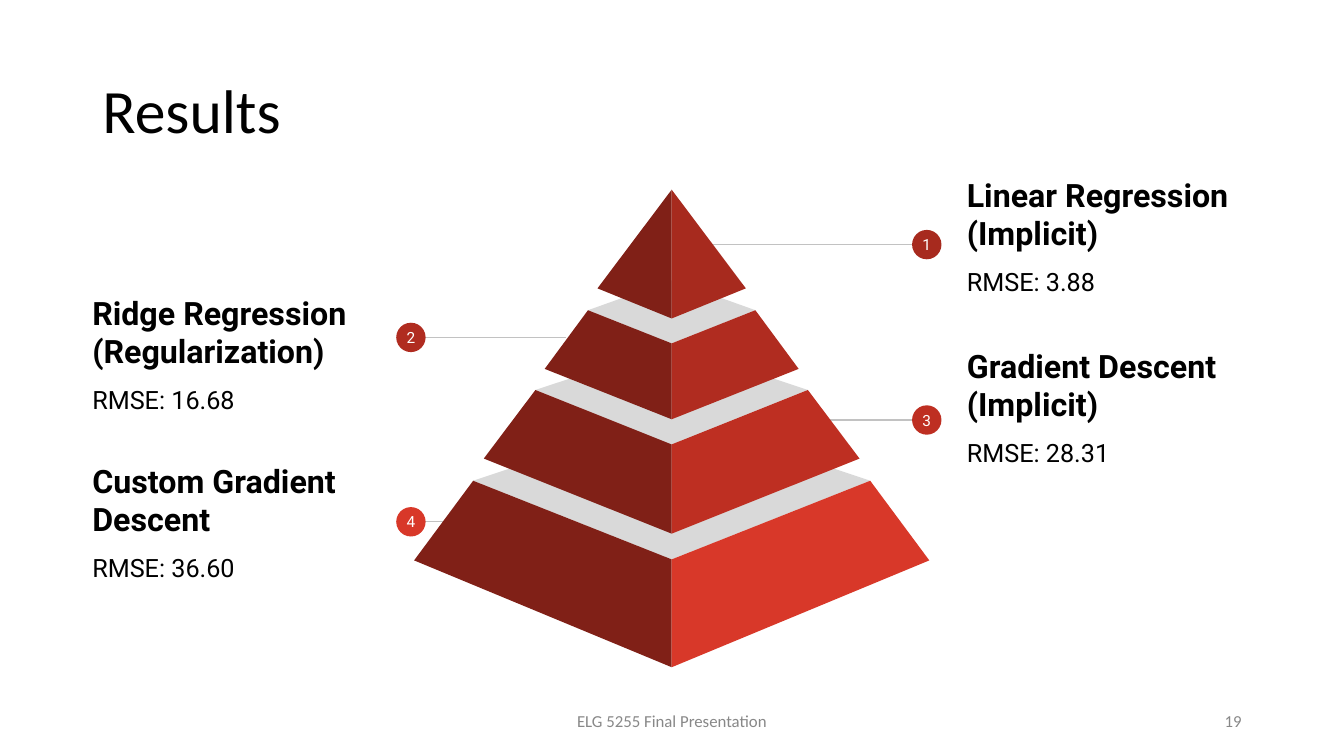
"""Build the results slide: a four-tier pyramid with a callout for each model."""
from dataclasses import dataclass
from typing import NamedTuple

from lxml.etree import SubElement
from pptx import Presentation
from pptx.dml.color import RGBColor
from pptx.enum.shapes import MSO_CONNECTOR as Connector, MSO_SHAPE as Preset
from pptx.enum.text import MSO_ANCHOR as Anchor, PP_ALIGN as Align
from pptx.oxml.ns import qn
from pptx.shapes.autoshape import Shape
from pptx.slide import Slide
from pptx.text.text import TextFrame, _Paragraph as Paragraph
from pptx.util import Pt


@dataclass(frozen=True)
class Theme:
    """Colours, fonts and type sizes of the slide."""
    ink: str = "000000"
    muted: str = "888888"
    badge_ink: str = "FFFFFF"
    leader: str = "C2C2C2"
    lid: str = "D9D9D9"
    shade: str = "802017"
    reds: tuple[str, ...] = ("A72A1E", "B02C20", "BE2F22", "D83829")
    base_font: str = "Calibri"
    callout_font: str = "Roboto"
    title_size: float = 44
    heading_size: float = 23
    score_size: float = 18
    footer_size: float = 12
    badge_size: float = 11


class Box(NamedTuple):
    """A rectangle in points."""
    left: float
    top: float
    width: float
    height: float

    def lengths(self) -> tuple[Pt, ...]:
        """Return the four sides as lengths."""
        return tuple(Pt(side) for side in self)


class Point(NamedTuple):
    """A position in points."""
    x: float
    y: float


class Tier(NamedTuple):
    """One pyramid tier: half widths beside the axis and heights on the slide."""
    back_y: float
    top_half: float
    top_y: float
    front_top_y: float
    base_half: float
    base_y: float
    front_base_y: float


class Callout(NamedTuple):
    """One model result, with its side, heights and leader end."""
    heading: tuple[str, ...]
    score: str
    on_right: bool
    text_y: float
    badge_y: float
    leader_x: float


THEME = Theme()
AXIS = 479.8
BADGE = 21
LABEL_WIDTH, LABEL_HEIGHT = 218, 110
LABEL_LEFT = {True: 681.2, False: 56.5}
BADGE_X = {True: 662, False: 293.5}

TIERS = (
    Tier(135.5, 0, 135.5, 135.5, 53, 206, 227.5),
    Tier(200.2, 59.8, 221.6, 245.3, 90.7, 263.5, 299.5),
    Tier(246.2, 97.3, 278.6, 317.5, 134.2, 327.6, 381.2),
    Tier(296, 141.8, 343.4, 399.6, 184, 400.3, 476.6),
)
CALLOUTS = (
    Callout(("Linear Regression (Implicit)",), "RMSE: 3.88", True, 168.3, 174.7, 507.6),
    Callout(("Ridge Regression", "(Regularization)"), "RMSE: 16.68", False, 252.6, 241, 404.6),
    Callout(("Gradient Descent", "(Implicit)"), "RMSE: 28.31", True, 290.4, 300, 590.4),
    Callout(("Custom Gradient Descent",), "RMSE: 36.60", False, 372.6, 372.7, 404.6),
)


def add_run(paragraph: Paragraph, text: str, font: str, size: float, color: str,
            bold: bool = False) -> None:
    """Append one formatted run."""
    run = paragraph.add_run()
    run.text = text
    run.font.name = font
    run.font.size = Pt(size)
    run.font.bold = bold
    run.font.color.rgb = RGBColor.from_string(color)


def set_frame(frame: TextFrame, side: float, edge: float) -> None:
    """Wrap and centre a frame vertically, with the given insets."""
    frame.word_wrap = True
    frame.vertical_anchor = Anchor.MIDDLE
    frame.margin_left = frame.margin_right = Pt(side)
    frame.margin_top = frame.margin_bottom = Pt(edge)


def add_frame(slide: Slide, box: Box, side: float, edge: float) -> TextFrame:
    """Add a text box and return its frame."""
    frame = slide.shapes.add_textbox(*box.lengths()).text_frame
    set_frame(frame, side, edge)
    return frame


def paint(shape: Shape, color: str) -> None:
    """Give a shape a flat fill without outline or shadow."""
    shape.shadow.inherit = False
    shape.fill.solid()
    shape.fill.fore_color.rgb = RGBColor.from_string(color)
    shape.line.fill.background()


def add_face(slide: Slide, color: str, corners: tuple[Point, ...]) -> None:
    """Draw a closed flat polygon."""
    start, *others = [(Pt(x), Pt(y)) for x, y in corners]
    outline = slide.shapes.build_freeform(*start)
    outline.add_line_segments(others, close=True)
    paint(outline.convert_to_shape(), color)


def add_tier(slide: Slide, tier: Tier, red: str) -> None:
    """Draw the lid and the two front faces of a tier."""
    front_top = Point(AXIS, tier.front_top_y)
    front_base = Point(AXIS, tier.front_base_y)
    left, right = (Point(AXIS + side * tier.top_half, tier.top_y) for side in (-1, 1))
    if tier.top_half:
        add_face(slide, THEME.lid, (left, front_top, right, Point(AXIS, tier.back_y)))
    for side, top, color in ((-1, left, THEME.shade), (1, right, red)):
        base = Point(AXIS + side * tier.base_half, tier.base_y)
        add_face(slide, color, (top, front_top, front_base, base))


def add_leader(slide: Slide, start: Point, end: Point) -> None:
    """Draw the thin line from the pyramid to a badge."""
    ends = [Pt(value) for value in (*start, *end)]
    leader = slide.shapes.add_connector(Connector.STRAIGHT, *ends)
    leader.line.color.rgb = RGBColor.from_string(THEME.leader)
    leader.line.width = Pt(0.75)
    SubElement(leader._element.spPr, qn("a:effectLst"))


def add_callout(slide: Slide, number: int, callout: Callout, red: str) -> None:
    """Draw a leader, its numbered badge and the result text."""
    center = Point(BADGE_X[callout.on_right], callout.badge_y)
    add_leader(slide, Point(callout.leader_x, center.y), center)
    spot = Box(center.x - BADGE / 2, center.y - BADGE / 2, BADGE, BADGE)
    badge = slide.shapes.add_shape(Preset.OVAL, *spot.lengths())
    paint(badge, red)
    set_frame(badge.text_frame, 0, 0)
    numeral = badge.text_frame.paragraphs[0]
    numeral.alignment = Align.CENTER
    add_run(numeral, str(number), THEME.callout_font, THEME.badge_size, THEME.badge_ink)

    label = add_frame(slide, Box(LABEL_LEFT[callout.on_right], callout.text_y - LABEL_HEIGHT / 2,
                                 LABEL_WIDTH, LABEL_HEIGHT), 9.4, 9.4)
    for index, line in enumerate(callout.heading):
        heading = label.add_paragraph() if index else label.paragraphs[0]
        add_run(heading, line, THEME.callout_font, THEME.heading_size, THEME.ink, bold=True)
    score = label.add_paragraph()
    score.space_before = Pt(10)
    add_run(score, callout.score, THEME.callout_font, THEME.score_size, THEME.ink)


def add_title(slide: Slide, text: str) -> None:
    """Place and format the title placeholder."""
    title = slide.shapes.title
    title.left, title.top, title.width, title.height = Box(66, 28.75, 828, 104.4).lengths()
    set_frame(title.text_frame, 7.2, 3.6)
    line = title.text_frame.paragraphs[0]
    line.alignment = Align.LEFT
    line.line_spacing = 0.9
    add_run(line, text, THEME.base_font, THEME.title_size, THEME.ink)


def add_footer(slide: Slide, text: str, box: Box, align: Align) -> None:
    """Add one muted footer text."""
    line = add_frame(slide, box, 7.2, 3.6).paragraphs[0]
    line.alignment = align
    add_run(line, text, THEME.base_font, THEME.footer_size, THEME.muted)


def main() -> None:
    """Build and save the slide."""
    deck = Presentation()
    deck.slide_width, deck.slide_height = Pt(960), Pt(540)
    slide = deck.slides.add_slide(deck.slide_layouts.get_by_name("Title Only"))
    add_title(slide, "Results")
    for number, (callout, red) in enumerate(zip(CALLOUTS, THEME.reds), start=1):
        add_callout(slide, number, callout, red)
    for tier, red in reversed(tuple(zip(TIERS, THEME.reds))):
        add_tier(slide, tier, red)
    add_footer(slide, "ELG 5255 Final Presentation", Box(362, 500.5, 236, 28.8), Align.CENTER)
    add_footer(slide, "19", Box(678, 500.5, 216, 28.8), Align.RIGHT)
    deck.save("out.pptx")


if __name__ == "__main__":
    main()
